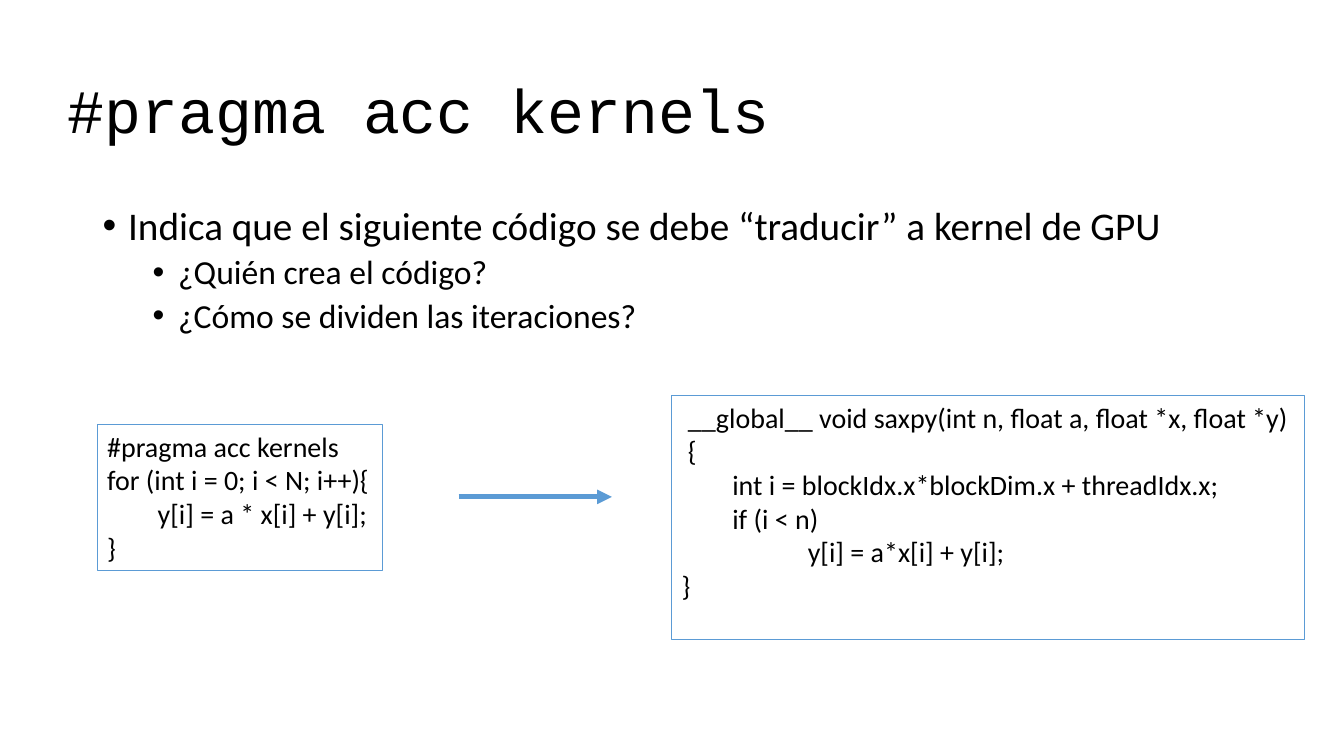
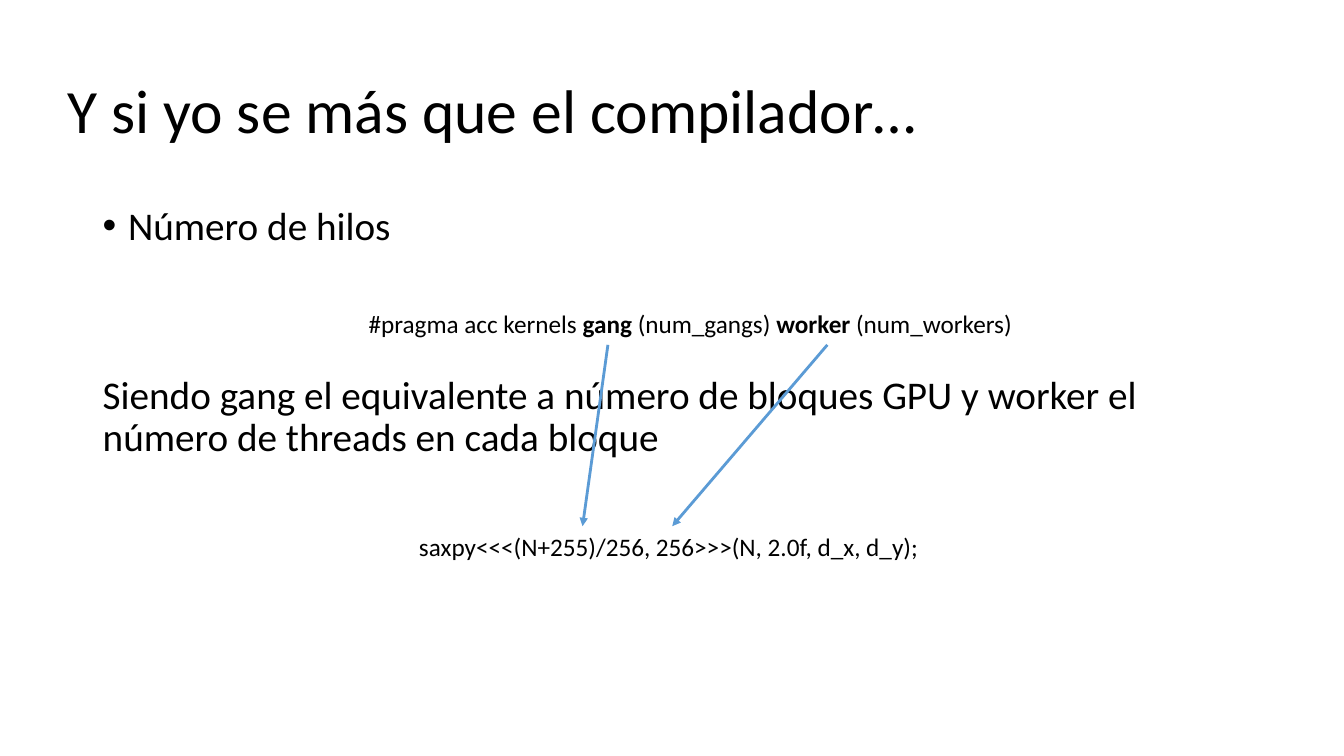
from lxml.etree import SubElement as Sub
from pptx import Presentation as Deck
from pptx.dml.color import RGBColor as Rgb
from pptx.enum.shapes import MSO_CONNECTOR as Link
from pptx.enum.text import MSO_ANCHOR as Anchor
from pptx.oxml.ns import qn
from pptx.util import Cm, Pt

HUES = {"text": "000000", "line": "5B9BD5", "back": "FFFFFF"}
SANS, MONO = "Calibri", "Courier New"
TIGHT = 0.9  # line spacing of titles and body text
TAB = 2.54  # tab stop of code lines


class Board:
    """Holds the style and the current slide."""

    def __init__(self):
        self.deck = Deck()
        self.deck.slide_width, self.deck.slide_height = Cm(33.87), Cm(19.05)
        self.slide = None

    def hue(self, key):
        return Rgb.from_string(HUES[key])

    def start(self, title, font=SANS):
        """Open a slide with its title."""
        self.slide = self.deck.slides.add_slide(self.deck.slide_layouts[6])
        fill = self.slide.background.fill
        fill.solid()
        fill.fore_color.rgb = self.hue("back")
        frame = self.frame(1.45, 1.02, 32, 3.68).text_frame
        frame.vertical_anchor = Anchor.MIDDLE
        para = frame.paragraphs[0]
        para.line_spacing = TIGHT
        self.run(para, title, 44, font=font)

    def frame(self, x, y, w, h, wrap=True):
        box = self.slide.shapes.add_textbox(Cm(x), Cm(y), Cm(w), Cm(h))
        box.text_frame.word_wrap = wrap
        return box

    def run(self, para, text, size, bold=False, font=SANS):
        run = para.add_run()
        run.text = text
        run.font.size, run.font.name, run.font.bold = Pt(size), font, bold
        run.font.color.rgb = self.hue("text")

    def paras(self, frame, count):
        """Return the given number of paragraphs of a frame."""
        return [frame.paragraphs[0]] + [frame.add_paragraph() for _ in range(count - 1)]

    def body(self, items):
        """Add body text; an item is (text, size, indent or None, space before)."""
        frame = self.frame(2.34, 5.08, 29.21, 12.09).text_frame
        for para, (text, size, left, gap) in zip(self.paras(frame, len(items)), items):
            if left is not None:
                self.dot(para, left)
            para.line_spacing, para.space_before = TIGHT, Pt(gap)
            self.run(para, text, size)

    def dot(self, para, left):
        props = para._p.get_or_add_pPr()
        props.set("marL", str(Cm(left)))
        props.set("indent", str(-Cm(0.64)))
        Sub(props, qn("a:buFont"), typeface="Arial")
        Sub(props, qn("a:buChar"), char="•")

    def code(self, spot, lines, size, edge=False):
        """Add code; a line is a list of (text, bold) runs."""
        box = self.frame(*spot, wrap=False)
        if edge:
            box.line.color.rgb, box.line.width = self.hue("line"), Pt(0.75)
        for para, runs in zip(self.paras(box.text_frame, len(lines)), lines):
            if runs[0][0].startswith("\t"):
                tabs = Sub(para._p.get_or_add_pPr(), qn("a:tabLst"))
                Sub(tabs, qn("a:tab"), pos=str(Cm(TAB)), algn="l")
            for text, bold in runs:
                self.run(para, text, size, bold)

    def arrow(self, x1, y1, x2, y2, width):
        link = self.slide.shapes.add_connector(
            Link.STRAIGHT, Cm(x1), Cm(y1), Cm(x2), Cm(y2))
        link.line.color.rgb, link.line.width = self.hue("line"), Pt(width)
        Sub(link.line._get_or_add_ln(), qn("a:tailEnd"), type="triangle")
        Sub(link._element.spPr, qn("a:effectLst"))


def plain(*lines):
    return [[(line, False)] for line in lines]


def main():
    board = Board()

    # Slide 1: the kernels directive and the code it yields
    board.start("#pragma acc kernels", MONO)
    board.body([
        ("Indica que el siguiente código se debe “traducir” a kernel de GPU", 28, 0.64, 0),
        ("¿Quién crea el código?", 24, 1.9, 5),
        ("¿Cómo se dividen las iteraciones?", 24, 1.9, 5),
    ])
    board.code((2.45, 10.69, 7.19, 3.68), plain(
        "#pragma acc kernels",
        "for (int i = 0; i < N; i++){",
        "        y[i] = a * x[i] + y[i];",
        "}"), 20, edge=True)
    board.code((16.93, 9.96, 15.95, 6.15), plain(
        " __global__ void saxpy(int n, float a, float *x, float *y)",
        " {",
        "        int i = blockIdx.x*blockDim.x + threadIdx.x;",
        "        if (i < n)",
        "\t    y[i] = a*x[i] + y[i];",
        "}"), 20, edge=True)
    board.arrow(11.56, 12.52, 15.42, 12.52, 3.5)

    # Slide 2: gangs and workers mapped to the launch call
    board.start("Y si yo se más que el compilador…")
    board.body([
        ("Número de hilos", 28, 0.64, 0),
        ("Siendo gang el equivalente a número de bloques GPU y worker el "
         "número de threads en cada bloque", 28, None, 90.5),
    ])
    board.code((9.04, 7.65, 16.84, 1.02), [[
        ("#pragma acc kernels ", False), ("gang", True), (" (num_gangs) ", False),
        ("worker", True), (" (num_workers)", False)]], 18)
    board.code((10.31, 13.26, 13.26, 1.02),
               plain("saxpy<<<(N+255)/256, 256>>>(N, 2.0f, d_x, d_y);"), 18)
    for top, end in ((15.32, 14.68), (20.85, 16.94)):
        board.arrow(top, 8.69, end, 13.26, 2)

    board.deck.save("out.pptx")


if __name__ == "__main__":
    main()
